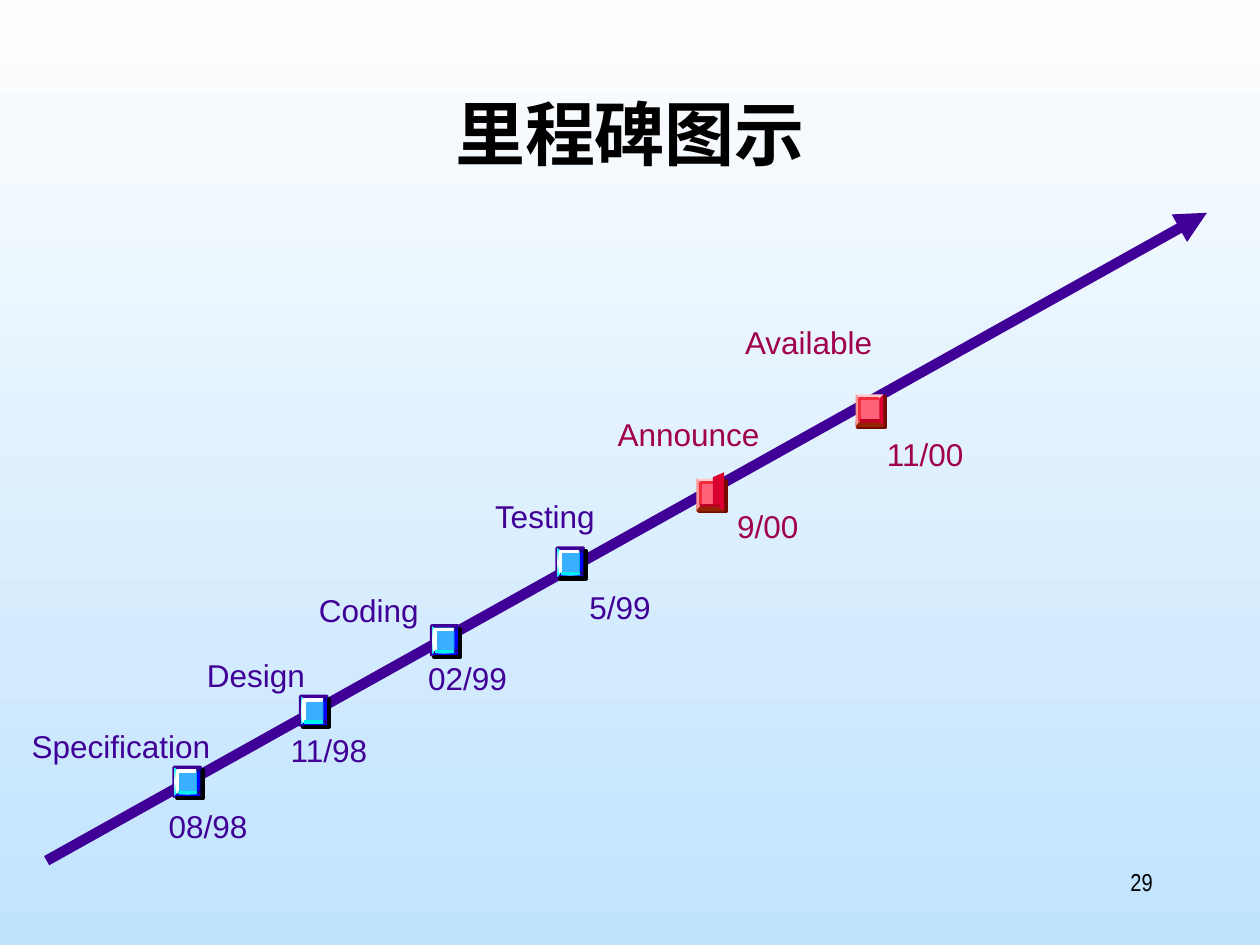
from copy import deepcopy

from lxml.etree import SubElement
from pptx import Presentation
from pptx.dml.color import RGBColor
from pptx.enum.shapes import MSO_CONNECTOR as Connector, MSO_SHAPE as Shape
from pptx.enum.text import MSO_ANCHOR as Anchor, MSO_AUTO_SIZE as AutoSize, PP_ALIGN as Align
from pptx.oxml.ns import qn
from pptx.util import Cm, Pt

BLACK = RGBColor(0x00, 0x00, 0x00)
WHITE = RGBColor(0xFF, 0xFF, 0xFF)
SKY_TOP = RGBColor(0xFE, 0xFE, 0xFE)
SKY_BOTTOM = RGBColor(0xC0, 0xE3, 0xFE)
PURPLE = RGBColor(0x40, 0x00, 0x97)
DARK_PURPLE = RGBColor(0x28, 0x00, 0x78)
BLUE = RGBColor(0x00, 0x00, 0xFF)
LIGHT_BLUE = RGBColor(0x38, 0xB0, 0xFF)
CYAN = RGBColor(0x00, 0xEF, 0xEF)
DARK_CYAN = RGBColor(0x00, 0xDC, 0xE4)
CRIMSON = RGBColor(0xA0, 0x00, 0x4C)
MAROON = RGBColor(0x74, 0x0B, 0x00)
BROWN = RGBColor(0x95, 0x25, 0x00)
PALE_PINK = RGBColor(0xFF, 0xCB, 0xCB)
PINK = RGBColor(0xFF, 0x63, 0x79)
SALMON = RGBColor(0xFF, 0x94, 0x94)
BRIGHT_RED = RGBColor(0xF3, 0x2D, 0x3B)
RED = RGBColor(0xDA, 0x00, 0x30)
DARK_RED = RGBColor(0xBC, 0x00, 0x24)

# Name (x, y, width), date (x, y, width), marker (x, y), all in cm
BLUE_MILESTONES = [
    ("Specification", (0.64, 14.66, 3.65), "08/98", (3.4, 16.27, 1.65), (3.51, 15.47)),
    ("Design", (4.17, 13.22, 2.05), "11/98", (5.86, 14.73, 1.65), (6.06, 14.04)),
    ("Coding", (6.43, 11.91, 2.1), "02/99", (8.63, 13.28, 1.65), (8.7, 12.62)),
    ("Testing", (9.98, 10.02, 2.1), "5/99", (11.88, 11.86, 1.3), (11.23, 11.05)),
]
RED_MILESTONES = [
    ("Announce", (12.45, 8.37, 2.9), "9/00", (14.86, 10.23, 1.3), (14.04, 9.65)),
    ("Available", (15.02, 6.51, 2.65), "11/00", (17.88, 8.77, 1.65), (17.25, 7.95)),
]


def paint(shape, fill=None, line=None):
    """Fill with nothing, one colour, or an (edge, middle, angle) gradient."""
    shape.shadow.inherit = False
    if fill is None:
        shape.fill.background()
    elif isinstance(fill, RGBColor):
        shape.fill.solid()
        shape.fill.fore_color.rgb = fill
    else:
        edge, middle, angle = fill
        shape.fill.gradient()
        shape.fill.gradient_angle = angle
        first, second = shape.fill.gradient_stops
        first.color.rgb, second.color.rgb = edge, middle
        second.position = 0.5
        stop_list = shape._element.spPr.find(".//" + qn("a:gsLst"))
        last = deepcopy(stop_list[0])
        last.set("pos", "100000")
        stop_list.append(last)
    if line is None:
        shape.line.fill.background()
    else:
        shape.line.color.rgb = line
        shape.line.width = Pt(2)


def add_line(shapes, start, end, color, width):
    line = shapes.add_connector(Connector.STRAIGHT, *map(Cm, start + end))
    line.line.color.rgb = color
    line.line.width = Pt(width)
    SubElement(line._element.spPr, qn("a:effectLst"))
    return line


def add_text(slide, text, box, font_name, size, color, align=Align.LEFT):
    shape = slide.shapes.add_textbox(*map(Cm, box))
    text_frame = shape.text_frame
    text_frame.word_wrap = True
    text_frame.text = text
    paragraph = text_frame.paragraphs[0]
    paragraph.alignment = align
    font = paragraph.runs[0].font
    font.name, font.size, font.color.rgb = font_name, Pt(size), color
    return text_frame


def add_label(slide, text, position, color):
    text_frame = add_text(slide, text, position + (0.76,), "Arial", 18, color)
    text_frame.margin_left = text_frame.margin_right = 0
    text_frame.margin_top = text_frame.margin_bottom = 0
    text_frame.vertical_anchor = Anchor.MIDDLE
    text_frame.word_wrap = False
    text_frame.auto_size = AutoSize.SHAPE_TO_FIT_TEXT
    text_frame.paragraphs[0].space_after = Pt(3.4)


def marker_tools(slide, origin):
    """Return functions that draw in one group, relative to the marker's corner."""
    shapes = slide.shapes.add_group_shape().shapes
    left, top = origin

    def block(x, y, width, height, fill, line=None):
        box = map(Cm, (left + x, top + y, width, height))
        paint(shapes.add_shape(Shape.RECTANGLE, *box), fill, line)

    def outline(points, fill=None, line=None):
        corners = [(Cm(left + x), Cm(top + y)) for x, y in points]
        builder = shapes.build_freeform(*corners[0])
        builder.add_line_segments(corners[1:], close=fill is not None)
        paint(builder.convert_to_shape(), fill, line)

    def edge(x1, x2, y, color):
        add_line(shapes, (left + x1, top + y), (left + x2, top + y), color, 2)

    return block, outline, edge


def add_blue_marker(slide, origin, has_base):
    block, outline, edge = marker_tools(slide, origin)
    block(0.05, 0.05, 0.53, 0.58, BLACK, BLACK)
    block(0, 0.48, 0.53, 0.08, (BLUE, LIGHT_BLUE, 0))
    outline([(0.53, 0), (0, 0), (0, 0.58)], CYAN, PURPLE)
    block(0.07, 0.07, 0.39, 0.44, LIGHT_BLUE)
    outline([(0.06, 0.51), (0.06, 0.05), (0, 0), (0, 0.58)], (CYAN, WHITE, 90))
    outline([(0.07, 0.51), (0.07, 0.07), (0.45, 0.07)], line=WHITE)
    if has_base:
        outline([(0.53, 0.58), (0.53, 0.56), (0.02, 0.56), (0, 0.58)], BLUE)
    outline([(0.45, 0.51), (0.45, 0.07), (0.53, 0), (0.53, 0.58)], BLUE)
    edge(0.07, 0.46, 0.51, CYAN)
    # Corner details
    outline([(0.45, 0.05), (0.46, 0.07), (0.46, 0.51), (0.45, 0.49)], DARK_CYAN)
    outline([(0.46, 0.07), (0.46, 0.12), (0.5, 0.05), (0.52, 0.12), (0.52, 0)], DARK_PURPLE)
    outline([(0.52, 0.56), (0.52, 0.36), (0.5, 0.51), (0.47, 0.46), (0.46, 0.51)], DARK_PURPLE)


def add_red_marker(slide, origin, right_side):
    block, outline, edge = marker_tools(slide, origin)
    block(0.04, 0.05, 0.56, 0.61, MAROON, MAROON)
    block(0, 0.53, 0.56, 0.13, BROWN)
    outline([(0.56, 0), (0, 0), (0.3, 0.36)], PALE_PINK)
    block(0.08, 0.08, 0.41, 0.46, PINK)
    outline([(0.08, 0.54), (0.08, 0.08), (0, 0), (0, 0.64)], SALMON)
    outline([(0.08, 0.54), (0.08, 0.08), (0.48, 0.08)], line=BRIGHT_RED)
    outline(right_side + [(0.56, 0.64)], RED)
    edge(0.08, 0.48, 0.54, DARK_RED)


def main():
    presentation = Presentation()
    presentation.slide_width, presentation.slide_height = Cm(25.4), Cm(19.05)
    slide = presentation.slides.add_slide(presentation.slide_layouts[6])

    # Background
    background = slide.background.fill
    background.gradient()
    background.gradient_angle = 270
    for stop, color in zip(background.gradient_stops, (SKY_TOP, SKY_BOTTOM)):
        stop.color.rgb = color

    # Title
    title_font = "Noto Sans CJK SC"
    title = add_text(slide, "里程碑图示", (1.9, 1.7, 21.6, 3.18), title_font, 40, BLACK, Align.CENTER)
    run = title.paragraphs[0].runs[0]
    run.font.bold = True
    SubElement(run._r.get_or_add_rPr(), qn("a:ea"), typeface=title_font)

    # Time arrow
    arrow = add_line(slide.shapes, (0.94, 17.35), (24.33, 4.29), PURPLE, 6)
    SubElement(arrow._element.spPr.find(qn("a:ln")), qn("a:tailEnd"), type="triangle")

    # Markers
    for name, _, _, _, origin in BLUE_MILESTONES:
        add_blue_marker(slide, origin, has_base=name != "Testing")
    wide_side = [(0.33, 0.53), (0.33, -0.03), (0.56, -0.13)]
    narrow_side = [(0.48, 0.54), (0.48, 0.08), (0.56, 0)]
    for milestone, side in zip(RED_MILESTONES, (wide_side, narrow_side)):
        add_red_marker(slide, milestone[-1], side)

    # Labels
    for milestones, color in ((BLUE_MILESTONES, PURPLE), (RED_MILESTONES, CRIMSON)):
        for name, name_position, date, date_position, _ in milestones:
            add_label(slide, name, name_position, color)
            add_label(slide, date, date_position, color)

    # Page number
    add_text(slide, "29", (18.21, 17.35, 5.28, 1.27), "Arial Narrow", 14, BLACK, Align.RIGHT)

    presentation.save("out.pptx")


if __name__ == "__main__":
    main()
